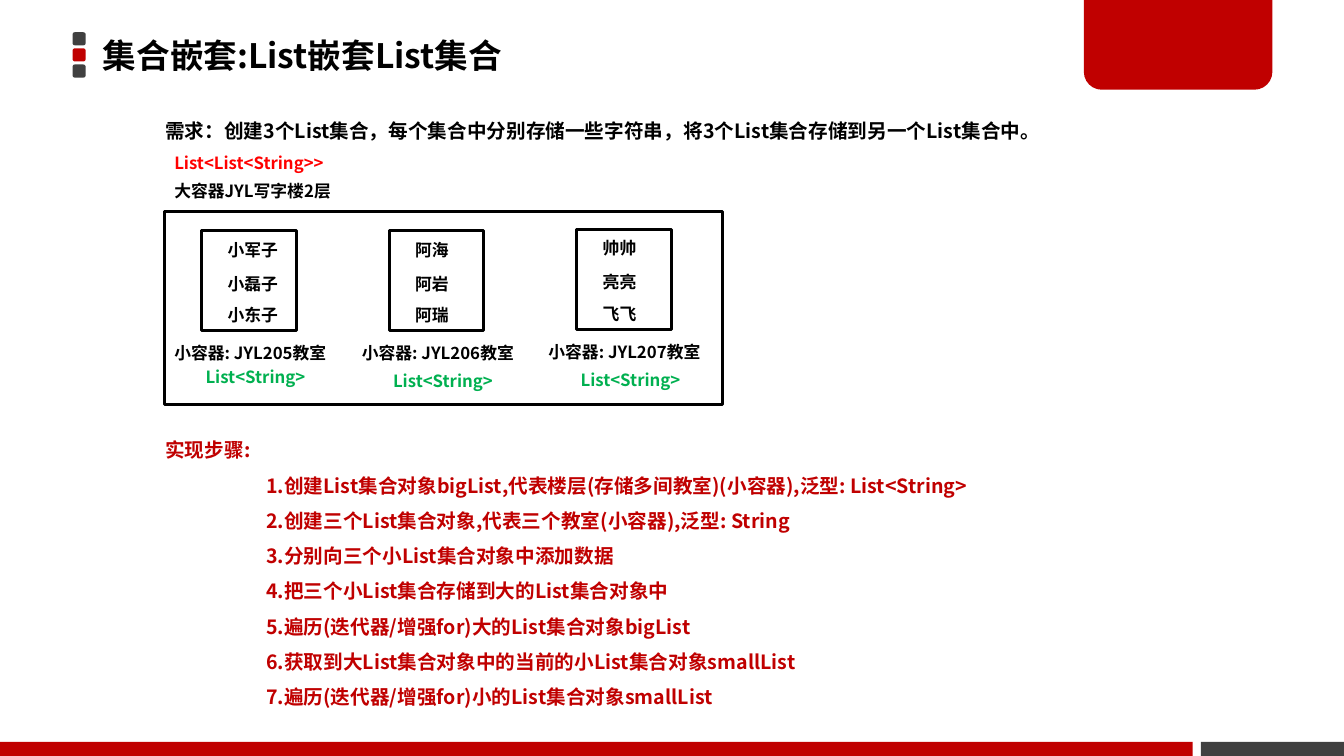
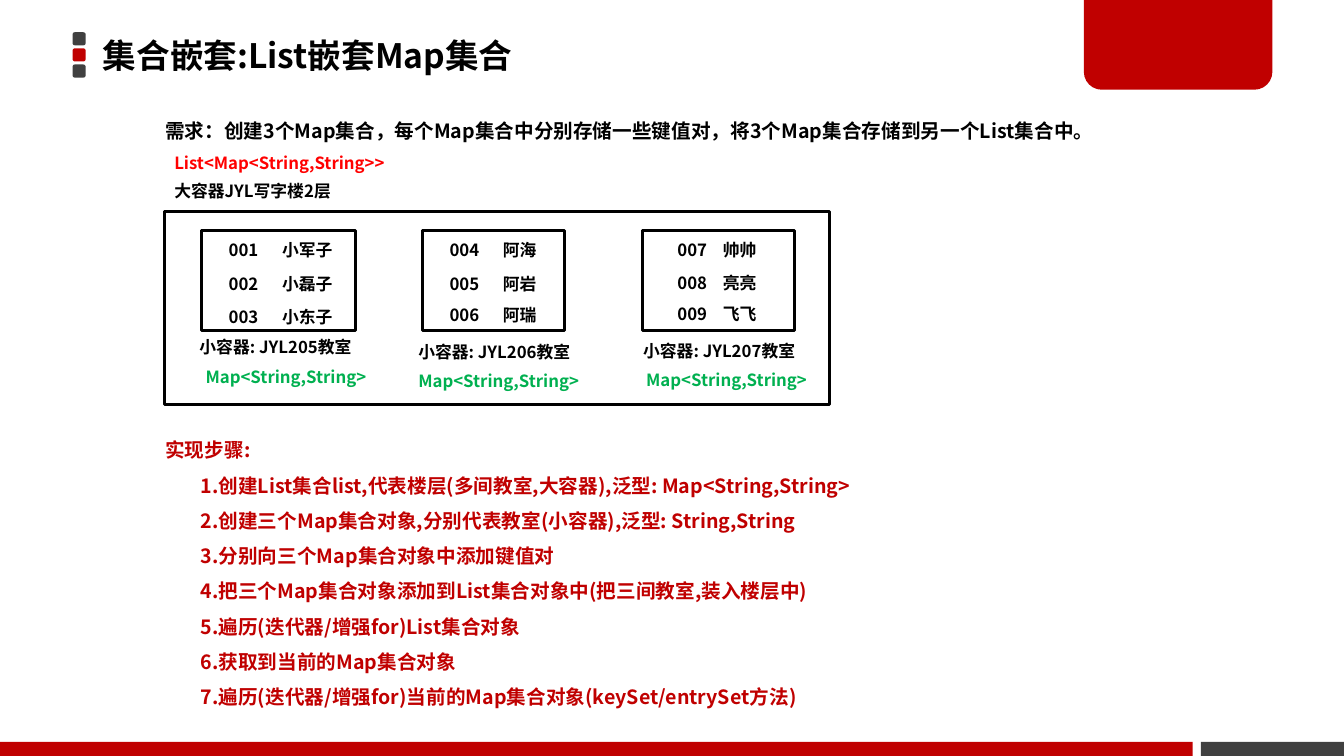
import collections

import lxml.etree
import pptx
import pptx.dml.color
import pptx.enum.shapes
import pptx.enum.text
import pptx.oxml.ns
import pptx.util

PX = 9144
RGB = pptx.dml.color.RGBColor
BLACK = RGB(0x00, 0x00, 0x00)
GREY = RGB(0x40, 0x40, 0x40)
CRIMSON = RGB(0xC0, 0x00, 0x00)
RED = RGB(0xFF, 0x00, 0x00)
GREEN = RGB(0x00, 0xB0, 0x50)
HEAD_FONT = "Noto Sans CJK JP"
BODY_FONT = "Noto Sans CJK SC"
SHAPE = pptx.enum.shapes.MSO_SHAPE
ANCHOR = pptx.enum.text.MSO_ANCHOR
FIT = pptx.enum.text.MSO_AUTO_SIZE
LEFT = pptx.enum.text.PP_ALIGN.LEFT

Room = collections.namedtuple("Room", "x y w pad tab rows people number label kind")


def px(n):
    return round(n * PX)


def place(sp, box):
    for name, n in zip(("left", "top", "width", "height"), box):
        setattr(sp, name, px(n))


def add_tag(parent, tag, **attrs):
    return lxml.etree.SubElement(parent, pptx.oxml.ns.qn(tag), **attrs)


def write(p, text, size, color=BLACK, font=BODY_FONT):
    p.alignment = LEFT
    r = p.add_run()
    r.text = text
    fmt = {"size": pptx.util.Pt(size), "bold": True, "name": font}
    for name, value in fmt.items():
        setattr(r.font, name, value)
    r.font.color.rgb = color
    add_tag(r._r.get_or_add_rPr(), "a:ea", typeface=font)


def add_text(s, box, text, size=12, color=BLACK, tab=0):
    tf = s.shapes.add_textbox(*map(px, box)).text_frame
    tf.word_wrap = True
    tf.auto_size = FIT.SHAPE_TO_FIT_TEXT
    p = tf.paragraphs[0]
    write(p, text, size, color)
    if tab:
        tabs = add_tag(p._p.get_or_add_pPr(), "a:tabLst")
        add_tag(tabs, "a:tab", pos=str(px(tab)), algn="l")


def add_block(s, kind, box, color, adjust=()):
    sp = s.shapes.add_shape(kind, *map(px, box))
    sp.shadow.inherit = False
    sp.fill.solid()
    sp.fill.fore_color.rgb = color
    sp.line.fill.background()
    for i, value in enumerate(adjust):
        sp.adjustments[i] = value
    return sp


def add_frame(s, box):
    sp = s.shapes.add_shape(SHAPE.RECTANGLE, *map(px, box))
    sp.shadow.inherit = False
    sp.fill.background()
    sp.line.color.rgb = BLACK
    sp.line.width = pptx.util.Pt(2)


def decorate_layout(layout, s):
    blocks = [
        add_block(s, SHAPE.ROUNDED_RECTANGLE, (72, 32 + 16 * i, 13, 13), color, [0.17])
        for i, color in enumerate((GREY, CRIMSON, GREY))
    ]
    blocks += [
        add_block(s, SHAPE.RECTANGLE, (1191, 736, 142, 14), GREY),
        add_block(s, SHAPE.ROUND_2_SAME_RECTANGLE, (1075, 0, 187, 89), CRIMSON, [0, 0.2]),
        add_block(s, SHAPE.RECTANGLE, (0, 736, 1183, 14), CRIMSON),
    ]
    for sp in blocks:
        layout.shapes.element.append(sp.element)


def add_title(s, box, text):
    sp = s.shapes.title
    place(sp, box)
    tf = sp.text_frame
    tf.vertical_anchor = ANCHOR.MIDDLE
    tf.auto_size = FIT.NONE
    write(tf.paragraphs[0], text, 24, font=HEAD_FONT)


def add_steps(s, box, steps, indent):
    sp = s.placeholders[1]
    place(sp, box)
    tf = sp.text_frame
    tf.auto_size = FIT.NONE
    lines = ["实现步骤:"] + [f"{i}.{step}" for i, step in enumerate(steps, 1)]
    for i, line in enumerate(lines):
        p = tf.add_paragraph() if i else tf.paragraphs[0]
        write(p, line, 14, CRIMSON)
        p.line_spacing = 1.5
        p.space_before = pptx.util.Pt(0)
        pPr = p._p.get_or_add_pPr()
        pPr.set("marL", str(px(indent if i else 0)))
        pPr.set("indent", "0")
        add_tag(pPr, "a:buNone")


def add_room(s, left, top, room, kind):
    x, y = left + room.x, top + room.y
    add_frame(s, (x, y, room.w, 99))
    for dy, person in zip(room.rows, room.people):
        add_text(s, (x + room.pad, y + dy, room.w, 30), person, tab=room.tab)
    for (dx, dy), text, color in (
        (room.label, f"小容器: JYL{room.number}教室", BLACK),
        (room.kind, kind, GREEN),
    ):
        add_text(s, (x + dx, y + dy, 199, 30), text, color=color)


def add_building(s, box, kind, rooms):
    x, y, w, h = box
    add_text(s, (x, y - 63, 272, 30), f"List<{kind}>", color=RED)
    add_text(s, (x, y - 36, 199, 30), "大容器JYL写字楼2层")
    add_frame(s, box)
    for room in rooms:
        add_room(s, x, y, room, kind)


def fill_slide(s, content):
    add_title(s, (92, 26, 959, 57), content["title"])
    add_text(s, (154, 113, 1064, 34), content["demand"], 14)
    add_building(s, (163, 210, content["width"], 191), content["kind"], content["rooms"])
    add_steps(s, (154, 418, 877, 289), content["steps"], content["indent"])


SLIDES = [
    {
        "title": "集合嵌套:List嵌套List集合",
        "demand": "需求：创建3个List集合，每个集合中分别存储一些字符串，将3个List集合存储到另一个List集合中。",
        "width": 554,
        "kind": "List<String>",
        "rooms": [
            Room(37, 19, 94, 16, 0, (4, 38, 68), ("小军子", "小磊子", "小东子"),
                 205, (-37, 106), (-6, 130)),
            Room(223, 19, 94, 16, 0, (4, 38, 68), ("阿海", "阿岩", "阿瑞"),
                 206, (-37, 106), (-6, 134)),
            Room(409, 18, 94, 16, 0, (3, 37, 68), ("帅帅", "亮亮", "飞飞"),
                 207, (-38, 106), (-6, 134)),
        ],
        "indent": 100,
        "steps": [
            "创建List集合对象bigList,代表楼层(存储多间教室)(小容器),泛型: List<String>",
            "创建三个List集合对象,代表三个教室(小容器),泛型: String",
            "分别向三个小List集合对象中添加数据",
            "把三个小List集合存储到大的List集合对象中",
            "遍历(迭代器/增强for)大的List集合对象bigList",
            "获取到大List集合对象中的当前的小List集合对象smallList",
            "遍历(迭代器/增强for)小的List集合对象smallList",
        ],
    },
    {
        "title": "集合嵌套:List嵌套Map集合",
        "demand": "需求：创建3个Map集合，每个Map集合中分别存储一些键值对，将3个Map集合存储到另一个List集合中。",
        "width": 660,
        "kind": "Map<String,String>",
        "rooms": [
            Room(37, 19, 153, 17, 53, (4, 38, 70), ("001\t小军子", "002\t小磊子", "003\t小东子"),
                 205, (-12, 100), (-6, 130)),
            Room(256, 19, 141, 17, 53, (4, 38, 68), ("004\t阿海", "005\t阿岩", "006\t阿瑞"),
                 206, (-14, 105), (-14, 134)),
            Room(474, 19, 151, 25, 45, (4, 37, 67), ("007\t帅帅", "008\t亮亮", "009\t飞飞"),
                 207, (-9, 104), (-6, 133)),
        ],
        "indent": 35,
        "steps": [
            "创建List集合list,代表楼层(多间教室,大容器),泛型: Map<String,String>",
            "创建三个Map集合对象,分别代表教室(小容器),泛型: String,String",
            "分别向三个Map集合对象中添加键值对",
            "把三个Map集合对象添加到List集合对象中(把三间教室,装入楼层中)",
            "遍历(迭代器/增强for)List集合对象",
            "获取到当前的Map集合对象",
            "遍历(迭代器/增强for)当前的Map集合对象(keySet/entrySet方法)",
        ],
    },
]


def main():
    prs = pptx.Presentation()
    prs.slide_width, prs.slide_height = px(1333), px(750)
    layout = prs.slide_layouts[1]
    slides = [prs.slides.add_slide(layout) for _ in SLIDES]
    decorate_layout(layout, slides[0])
    for s, content in zip(slides, SLIDES):
        fill_slide(s, content)
    prs.save("out.pptx")


if __name__ == "__main__":
    main()
